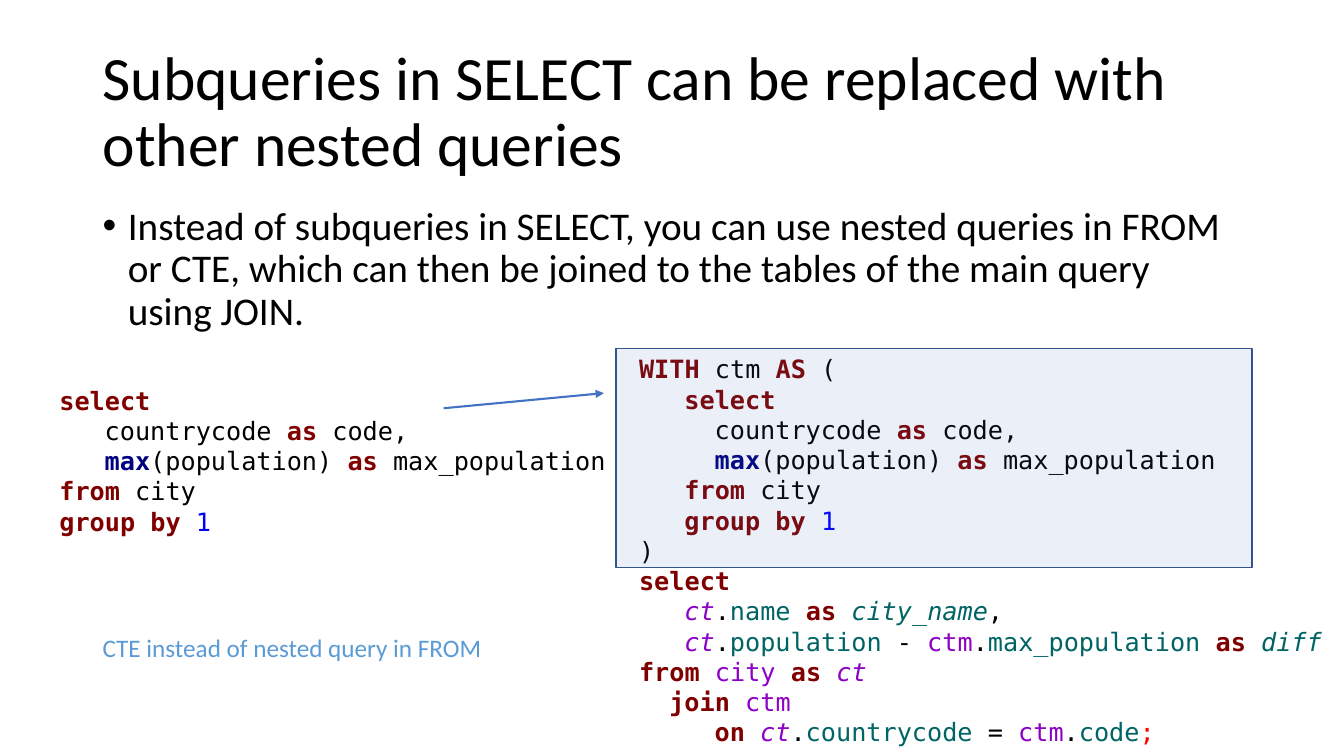
from pptx import Presentation
from pptx import util as u
from pptx.dml.color import RGBColor
from pptx.enum import shapes, text
from pptx.oxml import parse_xml
from pptx.oxml.ns import nsdecls, qn
from lxml import etree

COLORS = {
    "plain": "000000", "key": "800000", "func": "000080", "num": "0000FF",
    "table": "8E00C6", "alias": "8E00C6", "col": "006464", "name": "006464",
    "end": "FF0000", "note": "5B9BD5", "blue": "4472C4", "edge": "325491",
}
BOLD = {"key", "func"}
ITALIC = {"alias", "name"}
SANS, MONO = "Calibri", "DejaVu Sans Mono"
CHAR = 0.15  # width of one code character at 18 pt, in inches


def rgb(name):
    return RGBColor.from_string(COLORS[name])


def write(lines, box, font=SANS, size=18, space=1.0, before=0, bullet=False,
          anchor=text.MSO_ANCHOR.TOP, wrap=True, grow=False):
    """Add a text box; each line is (left indent, [(style, words), ...])."""
    frame = slide.shapes.add_textbox(*map(u.Inches, box)).text_frame
    frame.word_wrap = wrap
    frame.vertical_anchor = anchor
    if grow:
        frame.auto_size = text.MSO_AUTO_SIZE.SHAPE_TO_FIT_TEXT
    for i, (indent, runs) in enumerate(lines):
        para = frame.add_paragraph() if i else frame.paragraphs[0]
        para.line_spacing = space
        para.space_before = u.Pt(before)
        props = para._p.get_or_add_pPr()
        props.set("marL", str(u.Inches(indent)))
        if bullet:
            props.set("indent", str(-u.Inches(indent)))
            props.append(parse_xml(f'<a:buFont {nsdecls("a")} typeface="Arial"/>'))
            props.append(parse_xml(f'<a:buChar {nsdecls("a")} char="•"/>'))
        for style, words in runs:
            run = para.add_run()
            run.text = words
            run.font.name = font
            run.font.size = u.Pt(size)
            run.font.bold = style in BOLD
            run.font.italic = style in ITALIC
            run.font.color.rgb = rgb(style)


deck = Presentation()
deck.slide_width, deck.slide_height = u.Inches(13.33), u.Inches(7.5)
slide = deck.slides.add_slide(deck.slide_layouts[6])

# Title and main point
write([(0, [("plain", "Subqueries in SELECT can be replaced with other nested queries")])],
      (0.92, 0.4, 11.5, 1.45), size=44, space=0.9, anchor=text.MSO_ANCHOR.MIDDLE)
write([(0.25, [("plain", "Instead of subqueries in SELECT, you can use nested queries in FROM "
                         "or CTE, which can then be joined to the tables of the main query "
                         "using JOIN.")])],
      (0.92, 2, 11.5, 1.75), size=28, space=0.9, before=10, bullet=True)

# Nested query, shared by both code blocks: (outer, inner) depth in characters
def nested(outer, inner):
    return [
        (outer * CHAR, [("key", "select")]),
        (inner * CHAR, [("plain", "countrycode "), ("key", "as"), ("plain", " code,")]),
        (inner * CHAR, [("func", "max"), ("plain", "(population) "), ("key", "as "),
                        ("plain", "max_population")]),
        (outer * CHAR, [("key", "from"), ("plain", " city")]),
        (outer * CHAR, [("key", "group by "), ("num", "1")]),
    ]


write(nested(0, 3), (0.49, 3.77, 5.75, 1.62), font=MONO, grow=True)

# Full query with the CTE
head = [(0, [("key", "WITH "), ("plain", "ctm "), ("key", "AS"), ("plain", " (")])]
main = [
    (0, [("plain", ")")]),
    (0, [("key", "select")]),
    (3 * CHAR, [("alias", "ct"), ("plain", "."), ("col", "name "), ("key", "as "),
                ("name", "city_name"), ("plain", ",")]),
    (3 * CHAR, [("alias", "ct"), ("plain", "."), ("col", "population"), ("plain", " - "),
                ("table", "ctm"), ("plain", "."), ("col", "max_population "),
                ("key", "as "), ("name", "diff")]),
    (0, [("key", "from "), ("table", "city "), ("key", "as "), ("alias", "ct")]),
    (2 * CHAR, [("key", "join "), ("table", "ctm")]),
    (5 * CHAR, [("key", "on "), ("alias", "ct"), ("plain", "."), ("col", "countrycode"),
                ("plain", " = "), ("table", "ctm"), ("plain", "."), ("col", "code"),
                ("end", ";")]),
]
write(head + nested(3, 5) + main, (6.24, 3.46, 7.1, 4.04), font=MONO, grow=True)

# Translucent frame over the CTE
frame = slide.shapes.add_shape(shapes.MSO_SHAPE.RECTANGLE,
                               *map(u.Inches, (6.11, 3.46, 6.31, 2.17)))
frame.shadow.inherit = False
frame.fill.solid()
frame.fill.fore_color.rgb = rgb("blue")
tint = frame._element.spPr.find(qn("a:solidFill"))[0]
etree.SubElement(tint, qn("a:alpha"), val="10000")
frame.line.color.rgb = rgb("edge")
frame.line.width = u.Pt(1)

# Arrow from the nested query to the CTE
arrow = slide.shapes.add_connector(shapes.MSO_CONNECTOR.STRAIGHT,
                                   *map(u.Inches, (4.4, 4.05, 5.99, 3.9)))
arrow.line.color.rgb = rgb("blue")
arrow.line.width = u.Pt(1.5)
etree.SubElement(arrow.line._get_or_add_ln(), qn("a:tailEnd"), type="triangle")
etree.SubElement(arrow._element.spPr, qn("a:effectLst"))

# Caption
write([(0, [("note", "CTE instead of nested query in FROM")])],
      (0.92, 6.22, 4, 0.4), wrap=False, grow=True)

deck.save("out.pptx")
